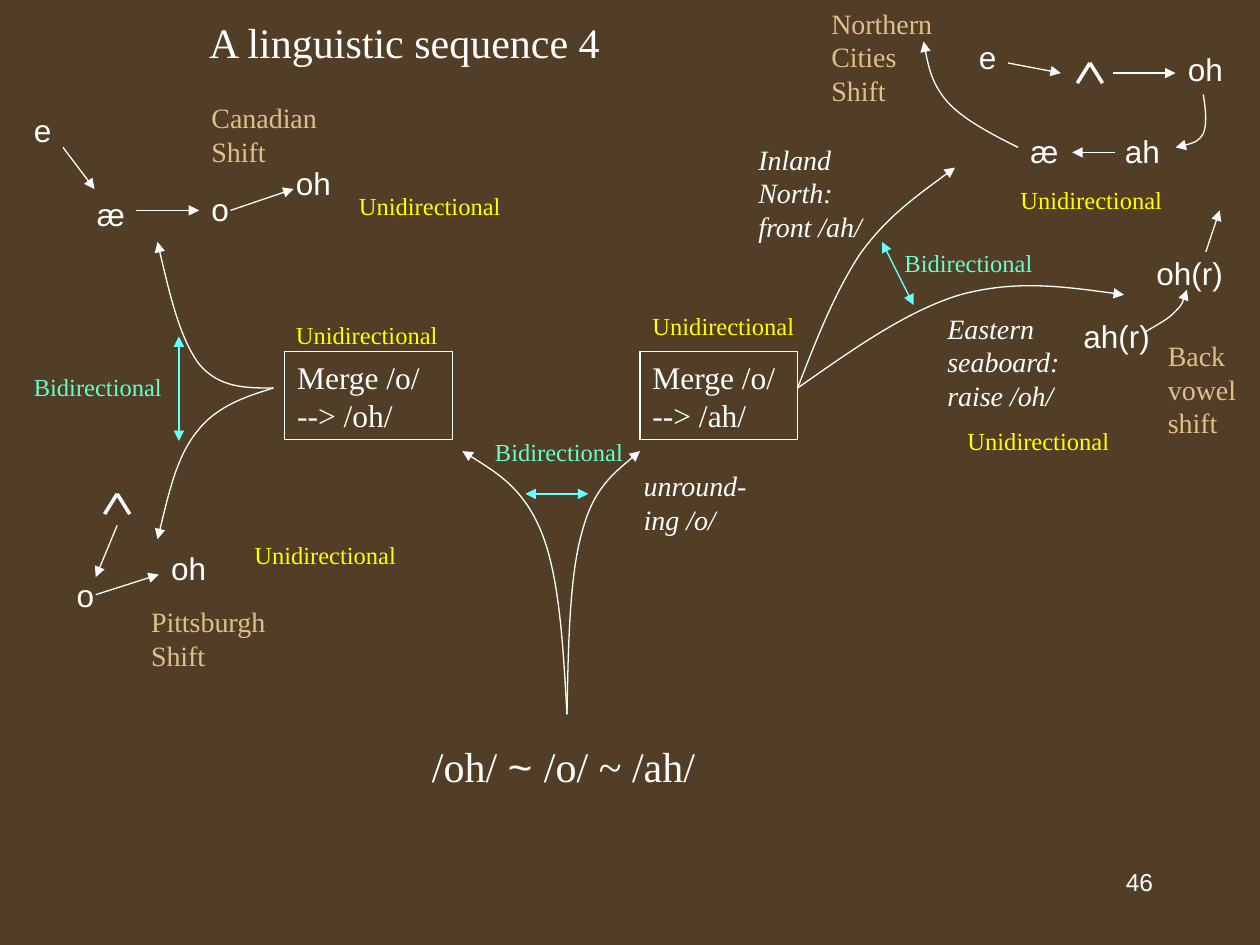
import pptx
import pptx.util
import pptx.dml.color
import pptx.enum.shapes
import pptx.enum.text
import pptx.oxml
import pptx.oxml.ns

SERIF, SANS = "Times New Roman", "Arial"
WHITE, TAN, YELLOW, MINT, CYAN = "FFFFFF", "DFC08D", "FFFF00", "66FFCC", "66FFFF"
BACKGROUND = "523E26"

# style: font, size, colour, italic
STYLES = {
    "sequence": (SERIF, 24, WHITE, False),
    "merger": (SERIF, 18, WHITE, False),
    "shift": (SERIF, 16, TAN, False),
    "change": (SERIF, 16, WHITE, True),
    "vowel": (SANS, 18, WHITE, False),
    "one way": (SERIF, 14, YELLOW, False),
    "two way": (SERIF, 14, MINT, False),
    "number": (SANS, 14, WHITE, False),
}

# style, left, top, width, lines, text
LABELS = [
    ("shift", 6.5, 0, 1.17, 3, "Northern Cities Shift"),
    ("shift", 1.1, 4.75, 1.25, 2, "Pittsburgh Shift"),
    ("shift", 1.58, 0.75, 1.25, 2, "Canadian Shift"),
    ("shift", 9.17, 2.64, 0.92, 3, "Back vowel shift"),
    ("change", 5.92, 1.08, 1.17, 3, "Inland North: front /ah/"),
    ("change", 7.42, 2.42, 1.42, 3, "Eastern seaboard: raise /oh/"),
    ("change", 5.01, 3.67, 1.08, 2, "unround-ing /o/"),
    ("vowel", 0.17, 0.83, 1.25, 1, "e"),
    ("vowel", 0.67, 1.5, 0.58, 1, "æ"),
    ("vowel", 2.25, 1.25, 0.83, 1, "oh"),
    ("vowel", 1.58, 1.46, 0.58, 1, "o"),
    ("vowel", 1.26, 4.31, 0.83, 1, "oh"),
    ("vowel", 0.51, 4.52, 0.58, 1, "o"),
    ("vowel", 7.67, 0.25, 0.58, 1, "e"),
    ("vowel", 8.08, 1, 0.58, 1, "æ"),
    ("vowel", 9.33, 0.35, 0.83, 1, "oh"),
    ("vowel", 8.83, 1, 0.58, 1, "ah"),
    ("vowel", 8.5, 2.47, 0.75, 1, "ah(r)"),
    ("vowel", 9.08, 1.97, 0.75, 1, "oh(r)"),
]
MERGERS = [(2.26, 1.33, "Merge /o/ --> /oh/"), (5.08, 1.25, "Merge /o/ --> /ah/")]
MERGER_TOP = 2.79

DIRECTIONS = {
    "one way": ("Unidirectional", [(1.92, 4.24), (2.75, 1.47), (5.08, 2.42),
                                   (2.25, 2.49), (8, 1.42), (7.58, 3.33)]),
    "two way": ("Bidirectional", [(0.17, 2.9), (7.08, 1.92), (3.83, 3.42)]),
}
DIRECTION_WIDTH = 1.42

VOWEL_MOVES = [
    ((0.5, 1.17), (0.75, 1.5)), ((1.08, 1.67), (1.58, 1.67)),
    ((1.83, 1.67), (2.33, 1.5)), ((0.76, 4.72), (1.26, 4.56)),
    ((0.93, 4.17), (0.76, 4.58)), ((8, 0.5), (8.42, 0.58)),
    ((8.83, 0.58), (9.33, 0.58)), ((8.85, 1.21), (8.51, 1.21)),
    ((9.57, 2), (9.68, 1.67)),
]
TWO_WAY_ARROWS = [((4.17, 3.92), (4.67, 3.92)), ((1.42, 3.5), (1.42, 2.67)),
                  ((7.25, 2.42), (7, 1.92))]
WEDGE_TIPS = [(0.93, 3.92), (8.65, 0.5)]
WEDGE_DX, WEDGE_DY = 0.1, 0.16

# start point, then two control points and an end point for each Bézier piece
ROOT, LEFT_FORK, RIGHT_FORK = (4.5, 5.67), (2.17, 3.08), (6.33, 3.08)
CURVES = [
    [ROOT, (4.51, 5.12), (4.52, 4.57), (4.62, 4.22), (4.71, 3.88), (4.9, 3.73), (5.08, 3.58)],
    [ROOT, (4.47, 5.12), (4.44, 4.58), (4.3, 4.23), (4.16, 3.88), (3.91, 3.73), (3.67, 3.58)],
    [LEFT_FORK, (1.94, 3.15), (1.71, 3.23), (1.56, 3.43), (1.4, 3.63), (1.33, 3.96), (1.25, 4.28)],
    [LEFT_FORK, (1.95, 3.08), (1.74, 3.08), (1.58, 2.89), (1.43, 2.69), (1.34, 2.31), (1.25, 1.92)],
    [RIGHT_FORK, (6.76, 2.78), (7.19, 2.47), (7.62, 2.34), (8.06, 2.22), (8.49, 2.28), (8.92, 2.34)],
    [RIGHT_FORK, (6.48, 2.69), (6.63, 2.31), (6.83, 2.01), (7.04, 1.72), (7.31, 1.53), (7.58, 1.33)],
    [(8.08, 1.17), (7.86, 1.06), (7.65, 0.95), (7.52, 0.81), (7.4, 0.67), (7.36, 0.5), (7.33, 0.33)],
    [(9.55, 0.75), (9.57, 0.87), (9.58, 0.99), (9.55, 1.06), (9.51, 1.13), (9.42, 1.15), (9.33, 1.17)],
    [(9.08, 2.64), (9.18, 2.58), (9.28, 2.53), (9.33, 2.47), (9.39, 2.41), (9.4, 2.36), (9.42, 2.3)],
]

inch = pptx.util.Inches
qn = pptx.oxml.ns.qn


def rgb(value):
    return pptx.dml.color.RGBColor.from_string(value)


def add_xml(parent, tag, **attributes):
    element = parent.makeelement(qn(tag), attributes)
    parent.append(element)
    return element


def set_line(s, color=WHITE, width=0.75, ends=()):
    s.line.color.rgb = rgb(color)
    s.line.width = pptx.util.Pt(width)
    ln = s._element.spPr.find(qn("a:ln"))
    for end in ends:
        add_xml(ln, end, type="triangle")


def write(s, style, text, align=pptx.enum.text.PP_ALIGN.LEFT):
    """Fill a shape with one styled paragraph; text may be a list of (run, font)."""
    font, size, color, italic = STYLES[style]
    tf = s.text_frame
    tf.word_wrap = True
    tf.vertical_anchor = pptx.enum.text.MSO_ANCHOR.TOP
    p = tf.paragraphs[0]
    p.alignment = align
    p.font.size, p.font.italic = pptx.util.Pt(size), italic
    p.font.color.rgb = rgb(color)
    for part, run_font in [(text, font)] if isinstance(text, str) else text:
        r = p.add_run()
        r.text = part
        r.font.name = run_font
    return tf


def height(style, lines):
    return 0.1 + lines * STYLES[style][1] / 60


def add_label(style, left, top, width, lines, text, **options):
    s = shapes.add_textbox(inch(left), inch(top), inch(width), inch(height(style, lines)))
    return write(s, style, text, **options)


def add_straight(start, end, **line):
    s = shapes.add_connector(pptx.enum.shapes.MSO_CONNECTOR.STRAIGHT,
                             *(inch(v) for v in start + end))
    set_line(s, **line)
    add_xml(s._element.spPr, "a:effectLst")


def add_curve(points):
    """Draw a freeform and turn each three of its segments into a Bézier piece."""
    start, *rest = [(inch(x), inch(y)) for x, y in points]
    builder = shapes.build_freeform(*start)
    builder.add_line_segments(rest, close=False)
    s = builder.convert_to_shape()
    path = s._element.spPr.find(".//" + qn("a:path"))
    segments = path.findall(qn("a:lnTo"))
    for i in range(0, len(segments), 3):
        piece = add_xml(path, "a:cubicBezTo")
        for segment in segments[i:i + 3]:
            piece.append(segment[0])
            path.remove(segment)
    s.shadow.inherit = False
    s.fill.background()
    set_line(s, ends=["a:tailEnd"])


prs = pptx.Presentation()
prs.slide_width, prs.slide_height = inch(10), inch(7.5)
slide = prs.slides.add_slide(prs.slide_layouts[6])
slide.background.fill.solid()
slide.background.fill.fore_color.rgb = rgb(BACKGROUND)
shapes = slide.shapes

add_label("number", 7.17, 6.83, 2.08, 1, "46", align=pptx.enum.text.PP_ALIGN.RIGHT)
add_label("sequence", 0.25, 0.08, 5.92, 1, "A linguistic sequence 4",
          align=pptx.enum.text.PP_ALIGN.CENTER)
add_label("sequence", 3.33, 5.83, 2.83, 1,
          [("/oh/ ", SERIF), ("~ ", SANS), ("/o/ ~ /ah/", SERIF)])

for left, width, text in MERGERS:
    s = shapes.add_shape(pptx.enum.shapes.MSO_SHAPE.RECTANGLE, inch(left), inch(MERGER_TOP),
                         inch(width), inch(height("merger", 2)))
    s.shadow.inherit = False
    s.fill.background()
    set_line(s)
    write(s, "merger", text)

for label in LABELS:
    add_label(*label)
for style, (text, places) in DIRECTIONS.items():
    for left, top in places:
        add_label(style, left, top, DIRECTION_WIDTH, 1, text)

for points in CURVES:
    add_curve(points)
for start, end in VOWEL_MOVES:
    add_straight(start, end, ends=["a:tailEnd"])
for start, end in TWO_WAY_ARROWS:
    add_straight(start, end, color=CYAN, ends=["a:headEnd", "a:tailEnd"])
for x, y in WEDGE_TIPS:
    for dx in (-WEDGE_DX, WEDGE_DX):
        add_straight((x, y), (x + dx, y + WEDGE_DY), width=2)

prs.save("out.pptx")
